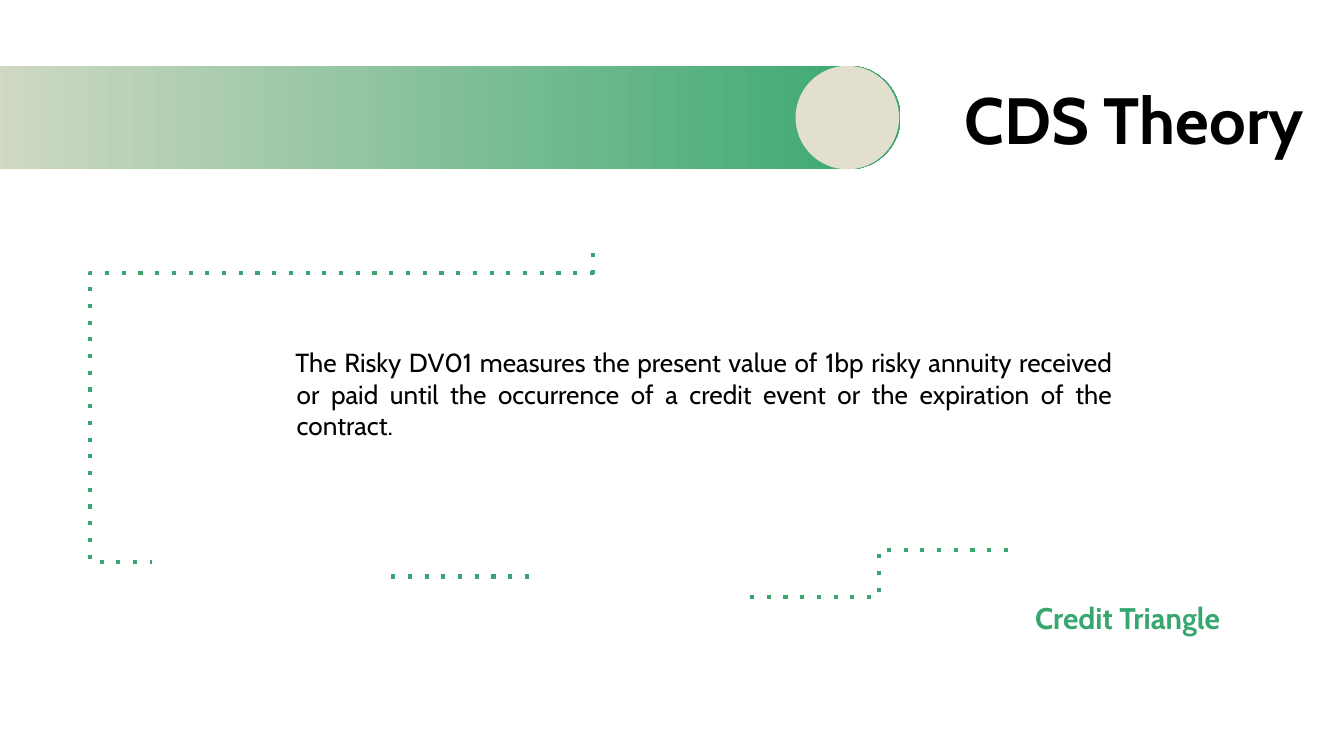
from lxml import etree
from pptx import Presentation
from pptx.dml.color import RGBColor
from pptx.enum.shapes import MSO_CONNECTOR as CONN, MSO_SHAPE as SHAPE
from pptx.enum.text import MSO_ANCHOR as ANCHOR, PP_ALIGN as ALIGN
from pptx.oxml.ns import qn
from pptx.util import Inches, Pt

GREEN, BEIGE, BLACK = "37A76F", "E2DFCC", "000000"


def rgb(color):
    return RGBColor.from_string(color)


prs = Presentation()
prs.slide_width, prs.slide_height = Inches(10), Inches(10 * 9 / 16)
s = prs.slides.add_slide(prs.slide_layouts[6])

# Banner: gradient bar with a disc in its rounded end
bar = s.shapes.add_shape(SHAPE.ROUNDED_RECTANGLE, Inches(-0.86), Inches(0.49),
                         Inches(7.56), Inches(0.77))
bar.adjustments[0] = 0.5
bar.fill.gradient()
bar.fill.gradient_angle = 0
for stop, color in zip(bar.fill.gradient_stops, (BEIGE, GREEN)):
    stop.color.rgb = rgb(color)

disc = s.shapes.add_shape(SHAPE.OVAL, Inches(5.92), Inches(0.49),
                          Inches(0.77), Inches(0.77))
disc.fill.solid()
disc.fill.fore_color.rgb = rgb(BEIGE)

for sp in (bar, disc):
    sp.line.fill.background()
    sp.shadow.inherit = False

# Dotted lines: kind, x1, y1, x2, y2, position of the bend
dotted_lines = [
    (CONN.ELBOW, 4.42, 2.03, 1.13, 4.18, 1.14),
    (CONN.STRAIGHT, 2.91, 4.29, 3.97, 4.29, None),
    (CONN.ELBOW, 5.58, 4.44, 7.5, 4.09, 0.5),
    (CONN.STRAIGHT, 4.41, 2.04, 4.41, 1.82, None),
]
for kind, x1, y1, x2, y2, bend in dotted_lines:
    line = s.shapes.add_connector(kind, Inches(x1), Inches(y1), Inches(x2), Inches(y2))
    line.line.color.rgb = rgb(GREEN)
    line.line.width = Pt(2.25)
    sp_pr = line._element.spPr
    etree.SubElement(sp_pr.find(qn("a:ln")), qn("a:prstDash"), val="dot")
    etree.SubElement(sp_pr, qn("a:effectLst"))
    if bend is not None:
        guides = sp_pr.find(qn("a:prstGeom")).find(qn("a:avLst"))
        etree.SubElement(guides, qn("a:gd"), name="adj1", fmla=f"val {round(bend * 100000)}")

# Texts: text, left, top, width, height, size, colour, bold, alignment, anchor
body = ("The Risky DV01 measures the present value of 1bp risky annuity received "
        "or paid until the occurrence of a credit event or the expiration of the contract.")
texts = [
    ("CDS Theory", 1.39, 0.49, 8.41, 0.63, 35, BLACK, True, ALIGN.RIGHT, ANCHOR.TOP),
    (body, 1.61, 2.48, 6.77, 1.04, 14, BLACK, False, ALIGN.JUSTIFY, ANCHOR.TOP),
    ("Credit Triangle", 6.13, 4.4, 4.52, 0.43, 16, GREEN, True, ALIGN.CENTER, ANCHOR.BOTTOM),
]
for text, x, y, w, h, size, color, bold, align, anchor in texts:
    tf = s.shapes.add_textbox(Inches(x), Inches(y), Inches(w), Inches(h)).text_frame
    tf.word_wrap = True
    tf.vertical_anchor = anchor
    tf.margin_left = tf.margin_right = tf.margin_top = tf.margin_bottom = Inches(0.1)
    tf.text = text
    p = tf.paragraphs[0]
    p.alignment = align
    if align == ALIGN.JUSTIFY:
        p_pr = p._p.get_or_add_pPr()
        p_pr.set("marL", str(Inches(0.5)))
        p_pr.set("indent", str(Inches(-0.01)))
    font = p.runs[0].font
    font.name, font.size, font.bold = "Cabin", Pt(size), bold
    font.color.rgb = rgb(color)

prs.save("out.pptx")
